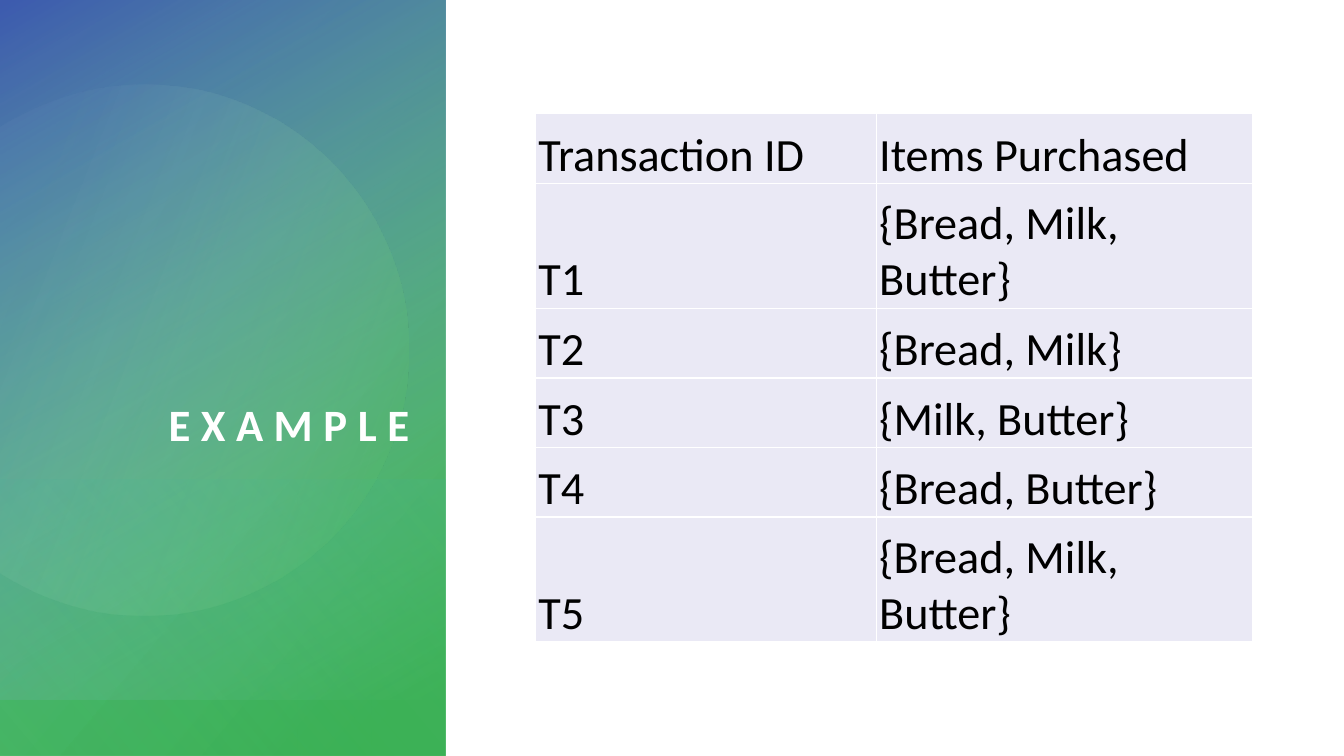
from lxml import etree
from pptx import Presentation
from pptx.dml.color import RGBColor
from pptx.enum.shapes import MSO_SHAPE
from pptx.enum.text import MSO_ANCHOR, PP_ALIGN
from pptx.oxml import parse_xml
from pptx.util import Inches, Pt

RECT = MSO_SHAPE.RECTANGLE
BOTTOM = MSO_ANCHOR.BOTTOM
RIGHT = PP_ALIGN.RIGHT
NS = "http://schemas.openxmlformats.org/drawingml/2006/main"

COLORS = {"white": "FFFFFF", "black": "000000", "cell": "EAE9F5", "green": "3BB149",
          "sea": "48B683", "teal": "3BB1AC", "mint": "91D3B5", "blue": "3B54B1",
          "ice": "D6F1F0"}
FONT = "Calibri"
TITLE = "EXAMPLE"
ROWS = [
    ("Transaction ID", "Items Purchased"),
    ("T1", "{Bread, Milk, Butter}"),
    ("T2", "{Bread, Milk}"),
    ("T3", "{Milk, Butter}"),
    ("T4", "{Bread, Butter}"),
    ("T5", "{Bread, Milk, Butter}"),
]
COL_WIDTHS = (3.38, 3.73)
ROW_HEIGHTS = (0.69, 1.24, 0.69, 0.69, 0.69, 1.24)
PANEL_WIDTH = 4.42
PANEL_LAYERS = [
    (0, 7.5, 50, [(8, "green", 100), (100, "sea", 89)]),
    (0, 6.94, 30, [(0, "mint", 0), (99, "blue", 92)]),
    (4.76, 2.74, 130, [(2, "sea", 28), (100, "teal", 0)]),
]
DISC_START = (1.43, 0.84)
DISC_CURVES = [
    (1.6, 0.84), (1.78, 0.86), (1.96, 0.89),
    (3.38, 1.19), (4.29, 2.58), (4, 4),
    (3.71, 5.42), (2.32, 6.34), (0.9, 6.05),
    (0.63, 5.99), (0.38, 5.9), (0.15, 5.77),
    (0.1, 5.74), (0.05, 5.71), (0, 5.68),
    (0, 4.2), (0, 2.74), (0, 1.26),
    (0.43, 0.99), (0.92, 0.84), (1.43, 0.84),
]
DISC_ANGLE = 21.6
DISC_STOPS = [(13, "ice", 2), (100, "green", 29)]


def rgb(name):
    return RGBColor.from_string(COLORS[name])


def fill_gradient(sp, angle, stops):
    sp.shadow.inherit = False
    sp.line.fill.background()
    sp.fill.background()
    gs = "".join(
        f'<a:gs pos="{pos * 1000}"><a:srgbClr val="{COLORS[name]}">'
        f'<a:alpha val="{alpha * 1000}"/></a:srgbClr></a:gs>'
        for pos, name, alpha in stops)
    grad = parse_xml(
        f'<a:gradFill xmlns:a="{NS}" rotWithShape="1"><a:gsLst>{gs}</a:gsLst>'
        f'<a:lin ang="{round(angle * 60000)}" scaled="0"/></a:gradFill>')
    spPr = sp._element.spPr
    spPr.replace(spPr.find(f"{{{NS}}}noFill"), grad)


def add_panel_layer(slide, top, height, angle, stops):
    left = (PANEL_WIDTH - height) / 2
    sp = slide.shapes.add_shape(RECT, Inches(left), Inches(top - left),
                                Inches(height), Inches(PANEL_WIDTH))
    sp.rotation = 90
    sp._element.spPr.xfrm.set("flipH", "1")
    fill_gradient(sp, angle, stops)


def add_disc(slide):
    start, *points = [(Inches(x), Inches(y)) for x, y in (DISC_START, *DISC_CURVES)]
    builder = slide.shapes.build_freeform(*start)
    builder.add_line_segments(points, close=True)
    sp = builder.convert_to_shape()
    segments = list(sp._element.spPr.iter(f"{{{NS}}}lnTo"))
    for i in range(0, len(segments), 3):
        curve = etree.Element(f"{{{NS}}}cubicBezTo")
        segments[i].addprevious(curve)
        for segment in segments[i:i + 3]:
            curve.append(segment[0])
            segment.getparent().remove(segment)
    fill_gradient(sp, DISC_ANGLE, DISC_STOPS)


def write(tf, text, color, **font):
    p = tf.paragraphs[0]
    r = p.add_run()
    r.text = text
    r.font.color.rgb = rgb(color)
    for key, value in {"name": FONT, **font}.items():
        setattr(r.font, key, value)
    return p, r


def add_title(slide):
    tf = slide.shapes.add_textbox(Inches(0.52), Inches(0.74),
                                  Inches(3.54), Inches(3.73)).text_frame
    settings = {"word_wrap": True, "vertical_anchor": BOTTOM, "margin_left": 0,
                "margin_right": 0, "margin_top": 0, "margin_bottom": 0}
    for key, value in settings.items():
        setattr(tf, key, value)
    p, r = write(tf, TITLE, "white", size=Pt(32), bold=True)
    p.alignment = RIGHT
    r.font._element.set("spc", "750")


def add_borders(cell):
    tcPr = cell._tc.get_or_add_tcPr()
    for i, side in enumerate(("lnL", "lnR", "lnT", "lnB")):
        ln = etree.Element(f"{{{NS}}}{side}", w=str(Pt(1)))
        fill = etree.SubElement(ln, f"{{{NS}}}solidFill")
        etree.SubElement(fill, f"{{{NS}}}srgbClr", val=COLORS["white"])
        tcPr.insert(i, ln)


def add_transactions(slide):
    table = slide.shapes.add_table(
        len(ROWS), len(COL_WIDTHS), Inches(5.31), Inches(1.13),
        Inches(sum(COL_WIDTHS)), Inches(sum(ROW_HEIGHTS))).table
    table.first_row = table.horz_banding = False
    for col, width in zip(table.columns, COL_WIDTHS):
        col.width = Inches(width)
    for row, height, texts in zip(table.rows, ROW_HEIGHTS, ROWS):
        row.height = Inches(height)
        for cell, text in zip(row.cells, texts):
            settings = {"vertical_anchor": BOTTOM, "margin_left": Inches(0.03),
                        "margin_right": Inches(0.03), "margin_top": Inches(0.03),
                        "margin_bottom": 0}
            for key, value in settings.items():
                setattr(cell, key, value)
            cell.fill.solid()
            cell.fill.fore_color.rgb = rgb("cell")
            add_borders(cell)
            write(cell.text_frame, text, "black", size=Pt(33))


def main():
    prs = Presentation()
    prs.slide_width, prs.slide_height = Inches(13.33), Inches(7.5)
    slide = prs.slides.add_slide(prs.slide_layouts[6])
    for layer in PANEL_LAYERS:
        add_panel_layer(slide, *layer)
    add_disc(slide)
    add_title(slide)
    add_transactions(slide)
    prs.save("out.pptx")


if __name__ == "__main__":
    main()
